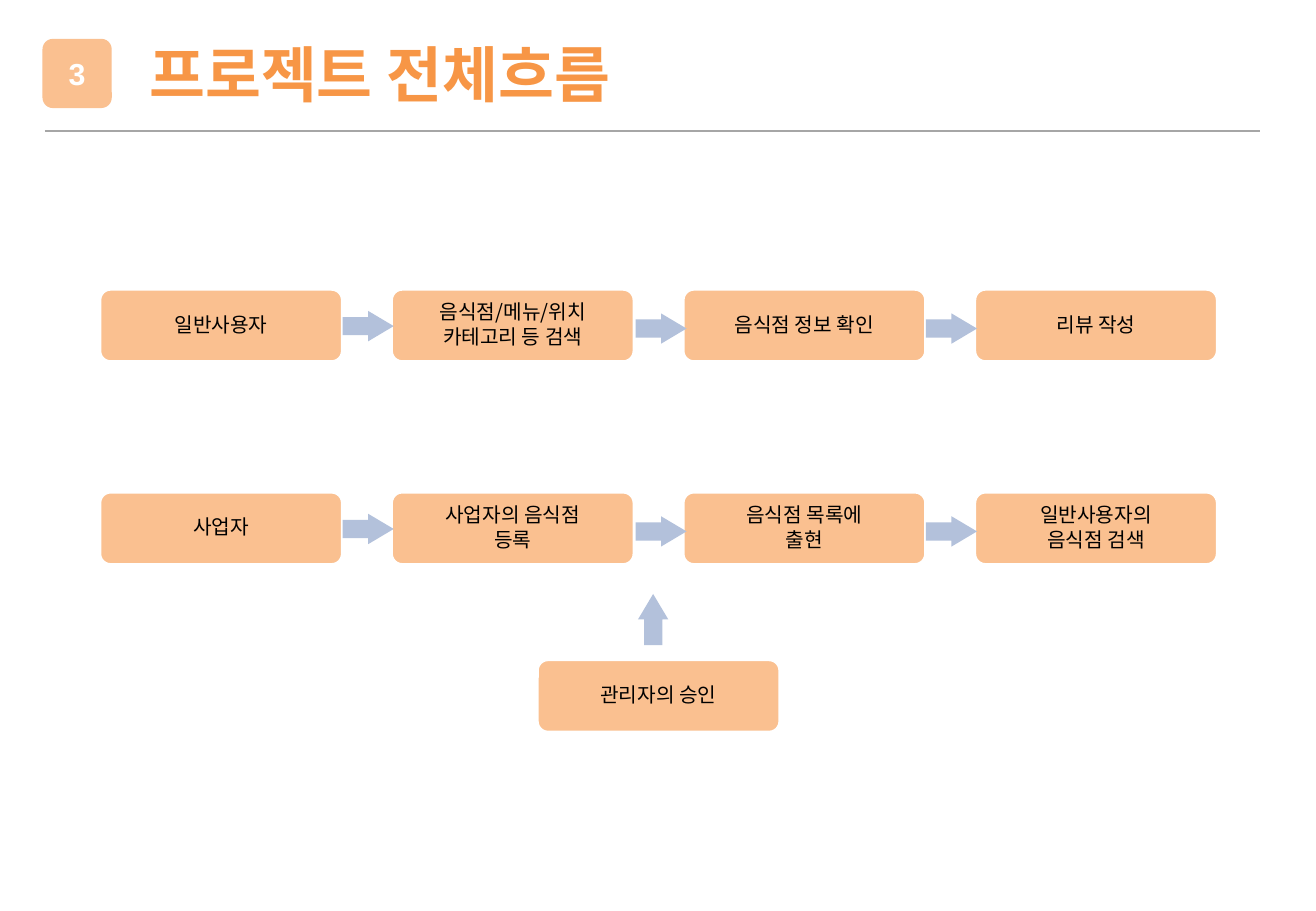
"""Builds the project flow slide."""
from dataclasses import dataclass

from lxml import etree
from pptx import Presentation
from pptx.dml.color import RGBColor
from pptx.enum.shapes import MSO_CONNECTOR, MSO_SHAPE
from pptx.enum.text import MSO_ANCHOR, MSO_AUTO_SIZE, PP_ALIGN
from pptx.oxml.ns import qn
from pptx.shapes.autoshape import Shape
from pptx.slide import Slide
from pptx.text.text import TextFrame
from pptx.util import Inches, Pt

ROUNDED = MSO_SHAPE.ROUNDED_RECTANGLE
RIGHT_ARROW = MSO_SHAPE.RIGHT_ARROW
UP_ARROW = MSO_SHAPE.UP_ARROW
STRAIGHT = MSO_CONNECTOR.STRAIGHT
LEFT, CENTER = PP_ALIGN.LEFT, PP_ALIGN.CENTER
TOP, MIDDLE = MSO_ANCHOR.TOP, MSO_ANCHOR.MIDDLE
GROW = MSO_AUTO_SIZE.SHAPE_TO_FIT_TEXT

COLORS = {
    "box": "FAC090",
    "title": "F79646",
    "arrow": "B3C1DB",
    "rule": "A6A6A6",
    "white": "FFFFFF",
    "text": "000000",
}
KOREAN_FONT = "Noto Sans CJK KR"
STEP_WIDTH, STEP_HEIGHT = 2, 0.6
STEP_LEFT, STEP_PITCH = 0.82, 2.4
ARROW_LENGTH, ARROW_THICKNESS = 0.42, 0.25
ARROW_OFFSETS = [(2.82, 0.18), (5.23, 0.2), (7.62, 0.2)]


@dataclass
class Flow:
    top: float
    steps: list[str]


@dataclass
class Step:
    left: float
    top: float
    text: str


FLOWS = [
    Flow(2.38, ["일반사용자", "음식점/메뉴/위치\n카테고리 등 검색", "음식점 정보 확인", "리뷰 작성"]),
    Flow(4.05, ["사업자", "사업자의 음식점\n등록", "음식점 목록에\n출현", "일반사용자의\n음식점 검색"]),
]
APPROVAL = Step(4.42, 5.43, "관리자의 승인")


def rgb(name: str) -> RGBColor:
    return RGBColor.from_string(COLORS[name])


def write_text(frame: TextFrame, text: str, *, size: float, color: str,
               font: str = KOREAN_FONT, bold: bool = False,
               align: PP_ALIGN = CENTER, anchor: MSO_ANCHOR = MIDDLE,
               line_spacing: float = 1.0, space_after: float = 0,
               inset: float | None = None) -> None:
    frame.word_wrap = True
    frame.vertical_anchor = anchor
    if inset is not None:
        frame.margin_left = frame.margin_right = Inches(inset)
        frame.margin_top = frame.margin_bottom = Inches(inset)
    frame.text = text
    for paragraph in frame.paragraphs:
        paragraph.alignment = align
        paragraph.line_spacing = line_spacing
        paragraph.space_after = Pt(space_after)
        for run in paragraph.runs:
            run.font.size = Pt(size)
            run.font.bold = bold
            run.font.name = font
            run.font.color.rgb = rgb(color)
            east_asian = etree.SubElement(run.font._element, qn("a:ea"))
            east_asian.set("typeface", font)


def add_filled(slide: Slide, kind: MSO_SHAPE, left: float, top: float,
               width: float, height: float, color: str,
               adjustments: tuple[float, ...]) -> Shape:
    shape = slide.shapes.add_shape(
        kind, Inches(left), Inches(top), Inches(width), Inches(height))
    shape.shadow.inherit = False
    shape.fill.solid()
    shape.fill.fore_color.rgb = rgb(color)
    shape.line.fill.background()
    for index, value in enumerate(adjustments):
        shape.adjustments[index] = value
    return shape


def add_step(slide: Slide, step: Step) -> None:
    box = add_filled(slide, ROUNDED, step.left, step.top,
                     STEP_WIDTH, STEP_HEIGHT, "box", (0.15,))
    box.line.color.rgb = rgb("white")
    box.line.width = Pt(2)
    write_text(box.text_frame, step.text, size=12, color="text",
               line_spacing=0.9, space_after=1.5, inset=0.24)


def add_arrow(slide: Slide, kind: MSO_SHAPE, left: float, top: float) -> None:
    width, height = ARROW_LENGTH, ARROW_THICKNESS
    if kind == UP_ARROW:
        width, height = height, width
    add_filled(slide, kind, left, top, width, height, "arrow", (0.6, 0.84))


def add_header(slide: Slide) -> None:
    badge = add_filled(slide, ROUNDED, 0.35, 0.32, 0.57, 0.57, "box", (0.15,))
    write_text(badge.text_frame, "3", size=18, color="white", font="Arial", bold=True)

    rule = slide.shapes.add_connector(
        STRAIGHT, Inches(0.37), Inches(1.08), Inches(10.37), Inches(1.08))
    rule.line.color.rgb = rgb("rule")
    rule.line.width = Pt(1)
    etree.SubElement(rule._element.spPr, qn("a:effectLst"))

    title = slide.shapes.add_textbox(
        Inches(1.13), Inches(0.25), Inches(7.44), Inches(0.71))
    write_text(title.text_frame, "프로젝트 전체흐름", size=36, color="title",
               bold=True, align=LEFT, anchor=TOP)
    title.text_frame.auto_size = GROW


def main() -> None:
    deck = Presentation()
    deck.slide_width, deck.slide_height = Inches(10.83), Inches(7.5)
    slide = deck.slides.add_slide(deck.slide_layouts[6])
    add_header(slide)
    for flow in FLOWS:
        for column, text in enumerate(flow.steps):
            add_step(slide, Step(STEP_LEFT + column * STEP_PITCH, flow.top, text))
        for left, drop in ARROW_OFFSETS:
            add_arrow(slide, RIGHT_ARROW, left, flow.top + drop)
    add_step(slide, APPROVAL)
    add_arrow(slide, UP_ARROW, 5.25, 4.89)
    deck.save("out.pptx")


if __name__ == "__main__":
    main()
